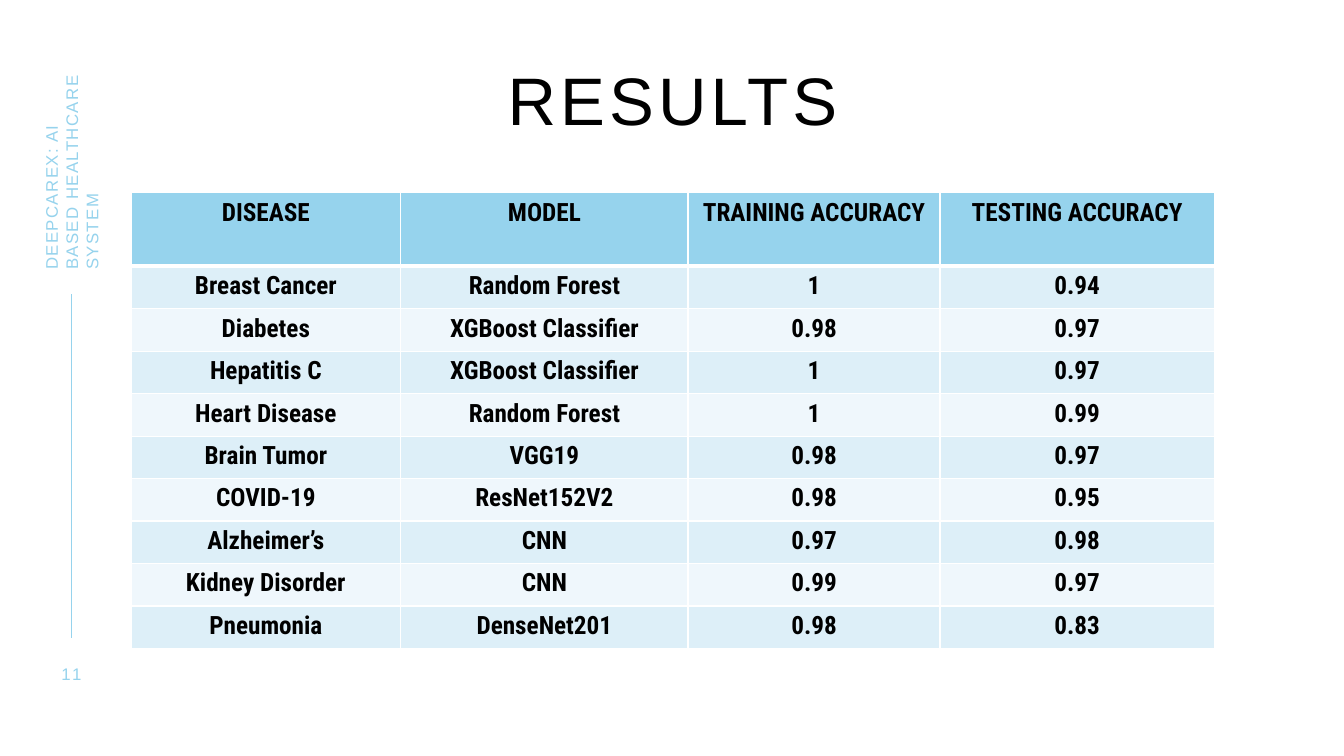
from pptx import Presentation
from pptx.dml.color import RGBColor as RGB
from pptx.enum.shapes import MSO_CONNECTOR
from pptx.enum.text import MSO_ANCHOR as ANCHOR, MSO_AUTO_SIZE as AUTO, PP_ALIGN as ALIGN
from pptx.oxml import parse_xml
from pptx.oxml.ns import nsdecls
from pptx.oxml.xmlchemy import OxmlElement
from pptx.util import Cm, Pt

COLORS = {"accent": "96D3ED", "band_dark": "DDEFF8", "band_light": "EFF7FC",
          "text": "000000", "border": "FFFFFF"}
TITLE = {"name": "Arial", "size": Pt(48), "bold": False}
SIDE = {"name": "Arial", "size": Pt(12)}
CELL = {"name": "Roboto Condensed", "size": Pt(18), "bold": True}

COL_WIDTHS = [6.8, 7.24, 6.35, 6.91]
HEADER_HEIGHT, ROW_HEIGHT = 1.85, 1.07
RESULTS = [
    ("DISEASE", "MODEL", "TRAINING ACCURACY", "TESTING ACCURACY"),
    ("Breast Cancer", "Random Forest", "1", "0.94"),
    ("Diabetes", "XGBoost Classifier", "0.98", "0.97"),
    ("Hepatitis C", "XGBoost Classifier", "1", "0.97"),
    ("Heart Disease", "Random Forest", "1", "0.99"),
    ("Brain Tumor", "VGG19", "0.98", "0.97"),
    ("COVID-19", "ResNet152V2", "0.98", "0.95"),
    ("Alzheimer’s", "CNN", "0.97", "0.98"),
    ("Kidney Disorder", "CNN", "0.99", "0.97"),
    ("Pneumonia", "DenseNet201", "0.98", "0.83"),
]


def write(tf, text, style, color, align, spacing=0):
    """Fill a text frame with one formatted run; spacing is in points."""
    p = tf.paragraphs[0]
    p.alignment = align
    r = p.add_run()
    r.text = text
    for key, value in style.items():
        setattr(r.font, key, value)
    r.font.color.rgb = RGB.from_string(COLORS[color])
    if spacing:
        r.font._element.set("spc", str(spacing * 100))
    return p


def set_frame(tf, anchor):
    frame = {"margin_left": 0, "margin_right": 0, "margin_top": 0, "margin_bottom": 0,
             "word_wrap": True, "auto_size": AUTO.NONE, "vertical_anchor": anchor}
    for key, value in frame.items():
        setattr(tf, key, value)


def add_title(slide, left, top, width, height):
    sp = slide.shapes.title
    sp.left, sp.top, sp.width, sp.height = map(Cm, (left, top, width, height))
    set_frame(sp.text_frame, ANCHOR.TOP)
    p = write(sp.text_frame, "RESULTS", TITLE, "text", ALIGN.CENTER, 3)
    p.line_spacing = 0.9


def set_borders(cell, top, bottom):
    tc_pr = cell._tc.get_or_add_tcPr()
    for side, width in {"L": 1, "R": 1, "T": top, "B": bottom}.items():
        tc_pr.append(parse_xml(
            f'<a:ln{side} {nsdecls("a")} w="{Pt(width)}"><a:solidFill>'
            f'<a:srgbClr val="{COLORS["border"]}"/></a:solidFill></a:ln{side}>'))


def add_results_table(slide, left, top):
    heights = [HEADER_HEIGHT] + [ROW_HEIGHT] * (len(RESULTS) - 1)
    table = slide.shapes.add_table(len(RESULTS), len(COL_WIDTHS), Cm(left), Cm(top),
                                   Cm(sum(COL_WIDTHS)), Cm(sum(heights))).table
    for col, width in zip(table.columns, COL_WIDTHS):
        col.width = Cm(width)
    for i, (values, height) in enumerate(zip(RESULTS, heights)):
        table.rows[i].height = Cm(height)
        fill = "accent" if i == 0 else "band_dark" if i % 2 else "band_light"
        for cell, text in zip(table.rows[i].cells, values):
            set_borders(cell, top=3 if i == 1 else 1, bottom=3 if i == 0 else 1)
            cell.fill.solid()
            cell.fill.fore_color.rgb = RGB.from_string(COLORS[fill])
            write(cell.text_frame, text, CELL, "text", ALIGN.CENTER)


def add_side_text(slide, text, center_x, center_y, width, align, spacing, rotation=0):
    height = 0.52
    sp = slide.shapes.add_textbox(Cm(center_x - width / 2), Cm(center_y - height / 2),
                                  Cm(width), Cm(height))
    sp.rotation = rotation
    set_frame(sp.text_frame, ANCHOR.MIDDLE)
    write(sp.text_frame, text, SIDE, "accent", align, spacing)


def add_side_strip(slide, center_x, top, bottom):
    """Running title, rule and page number along the left edge."""
    title_length = 4.95
    line = slide.shapes.add_connector(MSO_CONNECTOR.STRAIGHT, Cm(center_x), Cm(top + 5.57),
                                      Cm(center_x), Cm(bottom - 1.16))
    line.line.color.rgb = RGB.from_string(COLORS["accent"])
    line.line.width = Pt(1)
    line._element.spPr.append(OxmlElement("a:effectLst"))
    add_side_text(slide, "11", center_x, bottom - 0.27, 1.27, ALIGN.CENTER, 2)
    add_side_text(slide, "DEEPCAREX: AI BASED HEALTHCARE SYSTEM", center_x,
                  top + title_length / 2, title_length, ALIGN.LEFT, 1, rotation=270)


def main():
    prs = Presentation()
    prs.slide_width, prs.slide_height = Cm(33.87), Cm(19.05)
    slide = prs.slides.add_slide(prs.slide_layouts[5])
    add_title(slide, 3.3, 1.7, sum(COL_WIDTHS), 2.54)
    add_results_table(slide, 3.3, 4.86)
    add_side_strip(slide, 1.8, 1.85, 17.24)
    prs.save("out.pptx")


if __name__ == "__main__":
    main()
